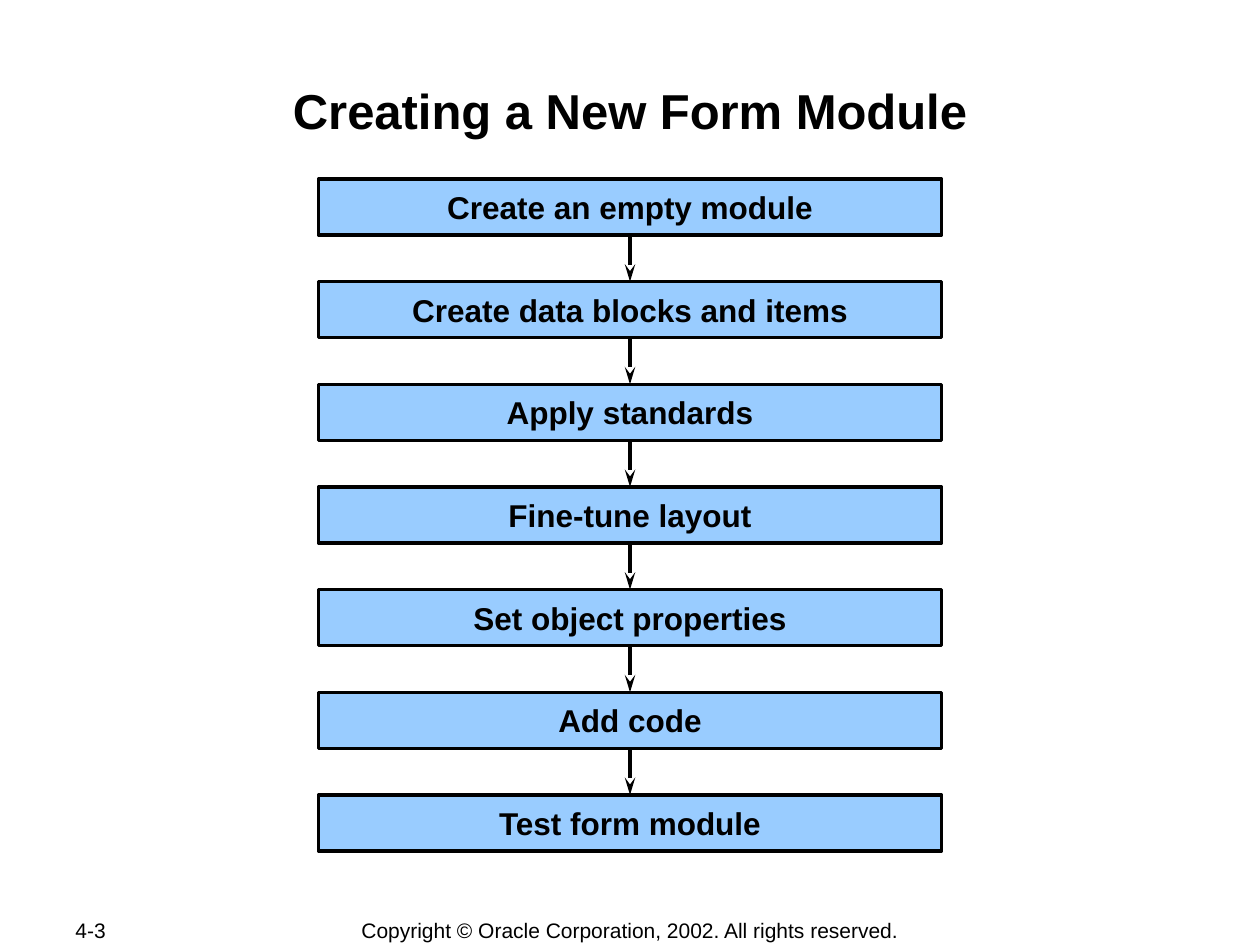
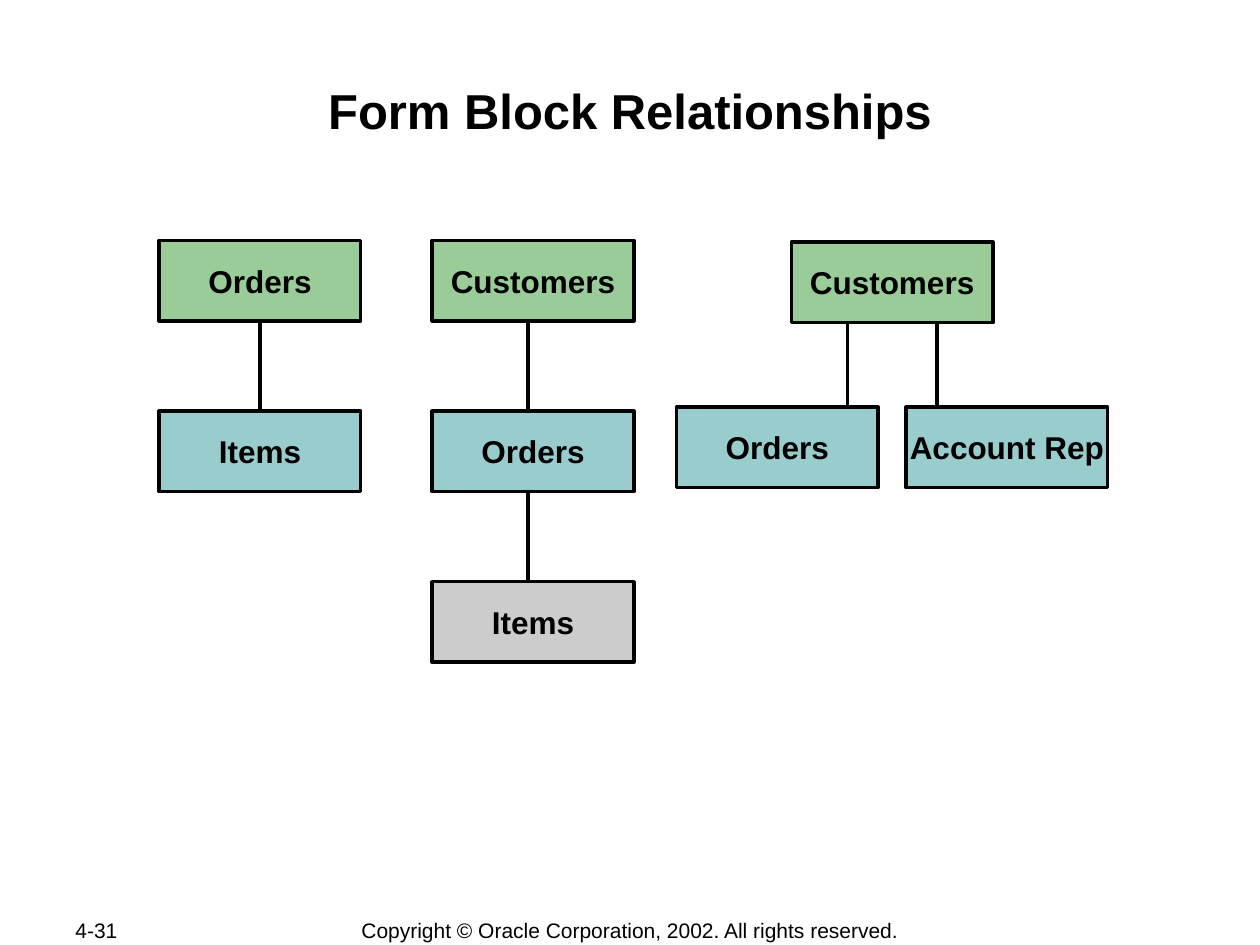
from lxml import etree
from pptx import Presentation
from pptx.dml.color import RGBColor
from pptx.enum.shapes import MSO_CONNECTOR as Line, MSO_SHAPE as Shape
from pptx.enum.text import MSO_ANCHOR as Anchor, MSO_AUTO_SIZE as Fit, PP_ALIGN as Align
from pptx.oxml.ns import qn
from pptx.util import Pt

FONT = "Arial"
BLACK, BLUE, GREEN, TEAL, GREY = "000000", "99CCFF", "99CC99", "99CCCC", "CCCCCC"
BOX_W, BOX_H = 115.2, 46
STEPS = (
    "Create an empty module",
    "Create data blocks and items",
    "Apply standards",
    "Fine-tune layout",
    "Set object properties",
    "Add code",
    "Test form module",
)


def color(code):
    """Turn a hex string into a colour."""
    return RGBColor.from_string(code)


def write(frame, text, size, bold=False, align=Align.CENTER, anchor=Anchor.MIDDLE):
    """Fill a text frame with one styled paragraph."""
    frame.auto_size = Fit.NONE
    frame.vertical_anchor = anchor
    frame.text = text
    para = frame.paragraphs[0]
    para.alignment = align
    para.space_before = Pt(0)
    font = para.font
    font.name, font.size, font.bold = FONT, Pt(size), bold
    font.color.rgb = color(BLACK)


def add_box(slide, text, fill, left, top, width=BOX_W, height=BOX_H):
    """Draw one outlined, labelled rectangle."""
    box = slide.shapes.add_shape(Shape.RECTANGLE, Pt(left), Pt(top), Pt(width), Pt(height))
    box.shadow.inherit = False
    box.fill.solid()
    box.fill.fore_color.rgb = color(fill)
    box.line.color.rgb = color(BLACK)
    box.line.width = Pt(2)
    write(box.text_frame, text, 18, True)
    box.text_frame.word_wrap = False
    return box


def add_link(slide, upper, lower, x=None, arrow=False):
    """Link two boxes downward, at their middles or at a given x."""
    mid = upper.left + upper.width // 2 if x is None else Pt(x)
    link = slide.shapes.add_connector(
        Line.STRAIGHT, mid, upper.top + upper.height, mid, lower.top)
    if x is None:
        link.begin_connect(upper, 2)
        link.end_connect(lower, 0)
    link.line.color.rgb = color(BLACK)
    link.line.width = Pt(2)
    props = link._element.spPr
    if arrow:
        etree.SubElement(props.find(qn("a:ln")), qn("a:tailEnd"),
                         type="stealth", w="med", len="lg")
    etree.SubElement(props, qn("a:effectLst"))


def add_foot(slide, text, left, width, align):
    """Add one footer text."""
    frame = slide.shapes.add_textbox(Pt(left), Pt(524), Pt(width), Pt(15)).text_frame
    write(frame, text, 12, align=align)
    frame.word_wrap = align == Align.LEFT


def add_page(deck, title, number):
    """Start a slide with its title and footers."""
    slide = deck.slides.add_slide(deck.slide_layouts[5])
    head = slide.shapes.title
    head.left, head.top, head.width, head.height = Pt(72), Pt(45), Pt(576), Pt(66)
    frame = head.text_frame
    frame.margin_left = frame.margin_right = Pt(0.7)
    frame.margin_top = frame.margin_bottom = Pt(0.7)
    write(frame, title, 28, True, anchor=Anchor.TOP)
    add_foot(slide, number, 36, 76, Align.LEFT)
    add_foot(slide, "Copyright © Oracle Corporation, 2002. All rights reserved.",
             198.5, 323, Align.CENTER)
    return slide


def add_flow(slide, steps, left, top, width, height):
    """Stack the steps evenly in a box and join them with arrows."""
    tall = 32
    pitch = (height - tall) / (len(steps) - 1)
    boxes = [add_box(slide, step, BLUE, left, top + i * pitch, width, tall)
             for i, step in enumerate(steps)]
    for upper, lower in zip(boxes, boxes[1:]):
        add_link(slide, upper, lower, arrow=True)


def add_chain(slide, names, left, top, shift=None):
    """Hang blocks below each other, with lines at the middle or at a shift."""
    boxes = [add_box(slide, name, fill, left, top + i * 97.5)
             for i, (name, fill) in enumerate(zip(names, (GREEN, TEAL, GREY)))]
    for upper, lower in zip(boxes, boxes[1:]):
        add_link(slide, upper, lower, None if shift is None else left + shift)


def add_fork(slide, root, kids, left, top, width):
    """Hang two blocks side by side below one centred block."""
    mid = left + width / 2
    upper = add_box(slide, root, GREEN, mid - BOX_W / 2, top)
    spots = ((left, mid - 25.5), (left + width - BOX_W, mid + 25.5))
    for kid, (edge, x) in zip(kids, spots):
        add_link(slide, upper, add_box(slide, kid, TEAL, edge, top + 94.3), x)


def main():
    """Build both slides and save them."""
    deck = Presentation()
    deck.slide_width, deck.slide_height = Pt(720), Pt(540)

    flow = add_page(deck, "Creating a New Form Module", "4-3")
    add_flow(flow, STEPS, 182, 102.3, 356, 384)

    trees = add_page(deck, "Form Block Relationships", "4-31")
    add_chain(trees, ("Orders", "Items"), 91, 137.4)
    add_chain(trees, ("Customers", "Orders", "Items"), 247, 137.4, 54.7)
    add_fork(trees, "Customers", ("Orders", "Account Rep"), 386.6, 138.3, 246.4)

    deck.save("out.pptx")


if __name__ == "__main__":
    main()
